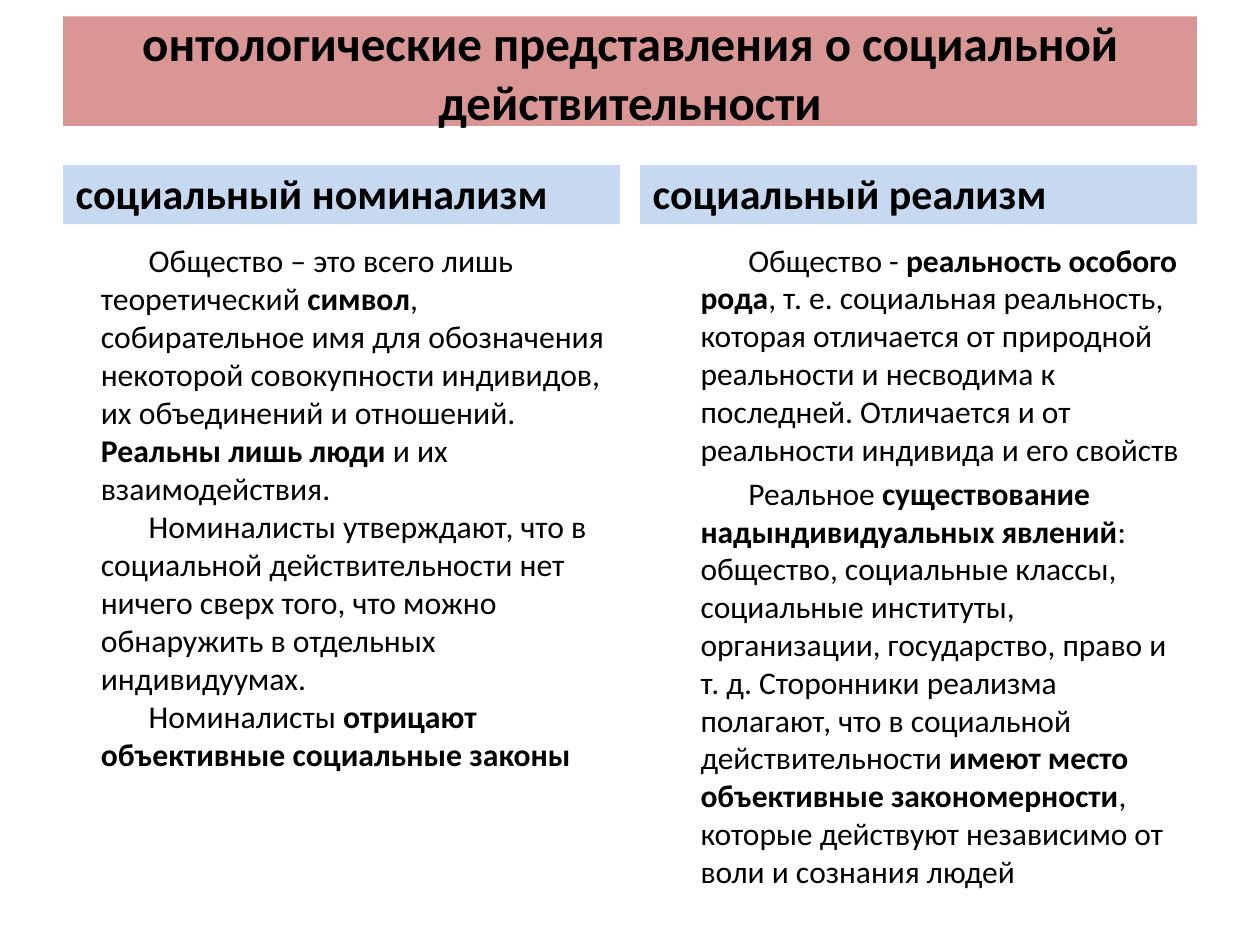
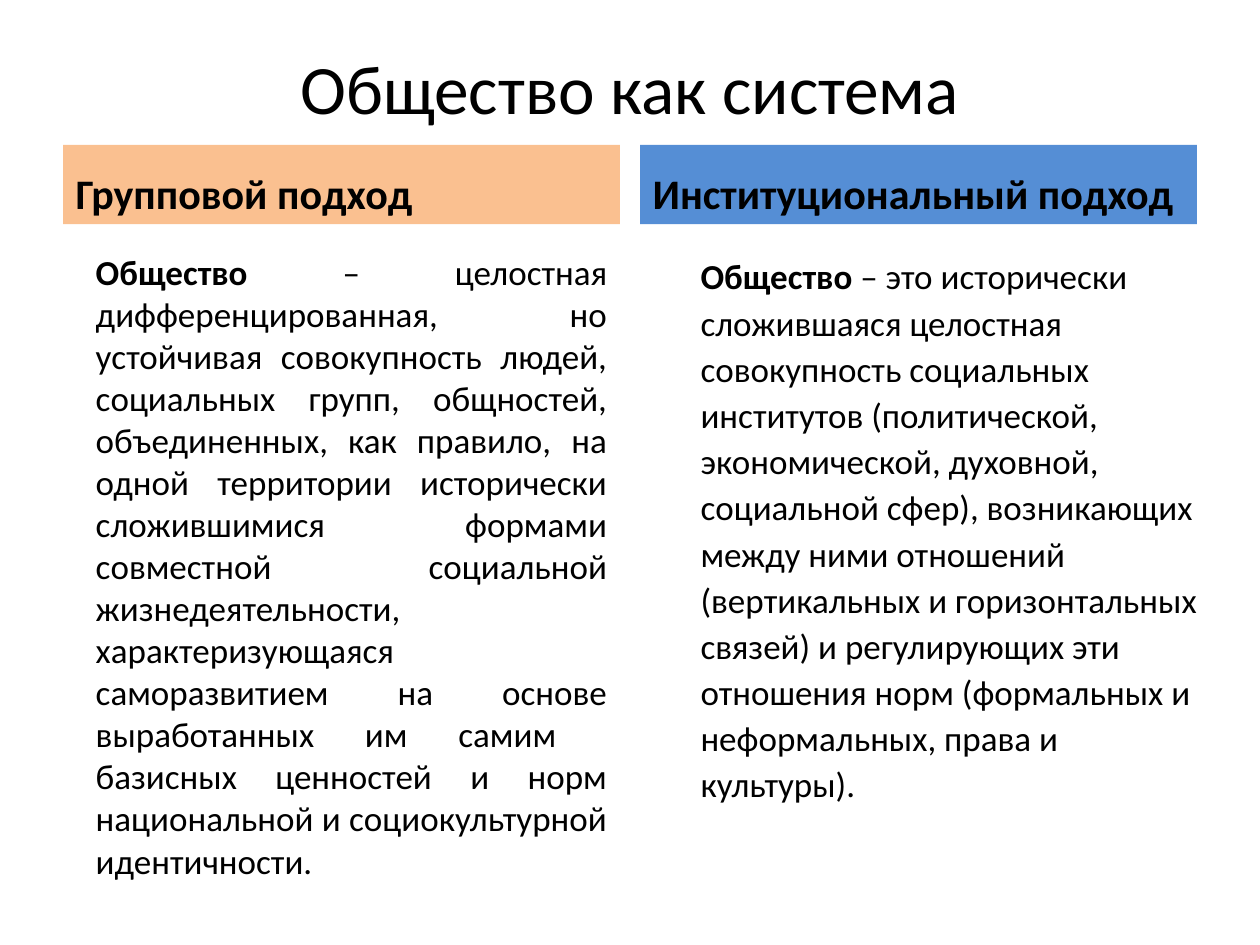
from pptx import Presentation
from pptx.dml.color import RGBColor
from pptx.enum.text import MSO_ANCHOR as Anchor, MSO_AUTO_SIZE as AutoSize, PP_ALIGN as Align
from pptx.oxml.ns import qn
from pptx.util import Pt
from lxml.etree import SubElement

PX = 9144  # EMU per px, 100 px to the inch
COLORS = {
    "text": "000000",
    "rose": "D99694",
    "pale_blue": "C6D9F1",
    "peach": "FAC090",
    "blue": "558ED5",
}
COMPARISON_LAYOUT = 4
TITLE, LEFT_HEADER, LEFT_BODY, RIGHT_HEADER, RIGHT_BODY = range(5)
COLUMN_LEFT = {LEFT_HEADER: 50, RIGHT_HEADER: 508}
COLUMN_WIDTH = 442
HEADER_BOTTOM = 178


class ComparisonDeck:
    """Builds slides with a title and two headed columns of text."""

    def __init__(self):
        self.presentation = Presentation()
        self.presentation.slide_width = 1000 * PX
        self.presentation.slide_height = 750 * PX
        self.slide = None

    def new_slide(self):
        layout = self.presentation.slide_layouts[COMPARISON_LAYOUT]
        self.slide = self.presentation.slides.add_slide(layout)

    def place(self, index, box, anchor, fill=None):
        shape = self.slide.placeholders[index]
        shape.left, shape.top, shape.width, shape.height = (n * PX for n in box)
        if fill:
            shape.fill.solid()
            shape.fill.fore_color.rgb = RGBColor.from_string(COLORS[fill])
        frame = shape.text_frame
        frame.word_wrap = True
        frame.auto_size = AutoSize.NONE
        frame.vertical_anchor = anchor
        return frame

    def add_runs(self, paragraph, text, size):
        """Fill a paragraph; parts between asterisks are bold."""
        for number, part in enumerate(text.split("*")):
            if part:
                run = paragraph.add_run()
                run.text = part
                run.font.name = "Calibri"
                run.font.size = Pt(size)
                run.font.bold = number % 2 == 1
                run.font.color.rgb = RGBColor.from_string(COLORS["text"])

    def title(self, text, top, height, size, fill=None):
        frame = self.place(TITLE, (50, top, 900, height), Anchor.MIDDLE, fill)
        frame.paragraphs[0].alignment = Align.CENTER
        self.add_runs(frame.paragraphs[0], text, size)

    def headers(self, left_text, right_text, top, left_fill, right_fill):
        for index, text, fill in ((LEFT_HEADER, left_text, left_fill),
                                  (RIGHT_HEADER, right_text, right_fill)):
            box = (COLUMN_LEFT[index], top, COLUMN_WIDTH, HEADER_BOTTOM - top)
            frame = self.place(index, box, Anchor.BOTTOM, fill)
            self.add_runs(frame.paragraphs[0], f"*{text}*", 24)

    def body(self, index, box, texts, size, margin=38, first_indent=0,
             align=None, line_spacing=None, space_before=None):
        frame = self.place(index, box, Anchor.TOP)
        for number, text in enumerate(texts):
            paragraph = frame.add_paragraph() if number else frame.paragraphs[0]
            paragraph.alignment = align
            paragraph.line_spacing = line_spacing
            paragraph.space_before = space_before
            properties = paragraph._p.get_or_add_pPr()
            properties.set("marL", str(margin * PX))
            properties.set("indent", str(first_indent * PX))
            SubElement(properties, qn("a:buNone"))
            self.add_runs(paragraph, text, size)


def add_ontology_slide(deck):
    deck.new_slide()
    deck.title("*онтологические представления о социальной действительности*",
               13, 87, 28, "rose")
    deck.headers("социальный номинализм", "социальный реализм", 131,
                 "pale_blue", "pale_blue")
    deck.body(LEFT_BODY, (35, 186, 456, 484), [
        "Общество – это всего лишь теоретический *символ*, собирательное имя для "
        "обозначения некоторой совокупности индивидов, их объединений и отношений. "
        "*Реальны лишь люди *и их взаимодействия.",
        "Номиналисты утверждают, что в социальной действительности нет ничего сверх "
        "того, что можно обнаружить в отдельных индивидуумах.",
        "Номиналисты *отрицают объективные социальные законы*",
    ], 18.1, margin=35, first_indent=38, space_before=Pt(0))
    deck.body(RIGHT_BODY, (508, 186, COLUMN_WIDTH, 484), [
        "Общество - *реальность особого рода*, т. е. социальная реальность, которая "
        "отличается от природной реальности и несводима к последней. Отличается и от "
        "реальности индивида и его свойств",
        "Реальное *существование надындивидуальных явлений*: общество, социальные "
        "классы, социальные институты, организации, государство, право и т. д. "
        "Сторонники реализма полагают, что в социальной действительности *имеют место "
        "объективные закономерности*, которые действуют независимо от воли и сознания "
        "людей",
    ], 18, first_indent=38)


def add_system_slide(deck):
    deck.new_slide()
    deck.title("Общество как система", 30, 77, 39.6)
    deck.headers("Групповой подход", "Институциональный подход", 115, "peach", "blue")
    deck.body(LEFT_BODY, (28, 194, 464, 520), [
        "*Общество* – целостная дифференцированная, но устойчивая совокупность людей, "
        "социальных групп, общностей, объединенных, как правило, на одной территории "
        "исторически сложившимися формами совместной социальной жизнедеятельности, "
        "характеризующаяся саморазвитием на основе выработанных им самим  базисных "
        "ценностей и норм национальной и социокультурной идентичности.",
    ], 20, align=Align.JUSTIFY)
    deck.body(RIGHT_BODY, (508, 194, 465, 476), [
        "*Общество* – это исторически сложившаяся целостная совокупность социальных "
        "институтов (политической, экономической, духовной, социальной сфер), "
        "возникающих между ними отношений (вертикальных и горизонтальных связей) и "
        "регулирующих эти отношения норм (формальных и неформальных, права и культуры).",
    ], 20, line_spacing=1.1)


def main():
    deck = ComparisonDeck()
    add_ontology_slide(deck)
    add_system_slide(deck)
    deck.presentation.save("out.pptx")


if __name__ == "__main__":
    main()
